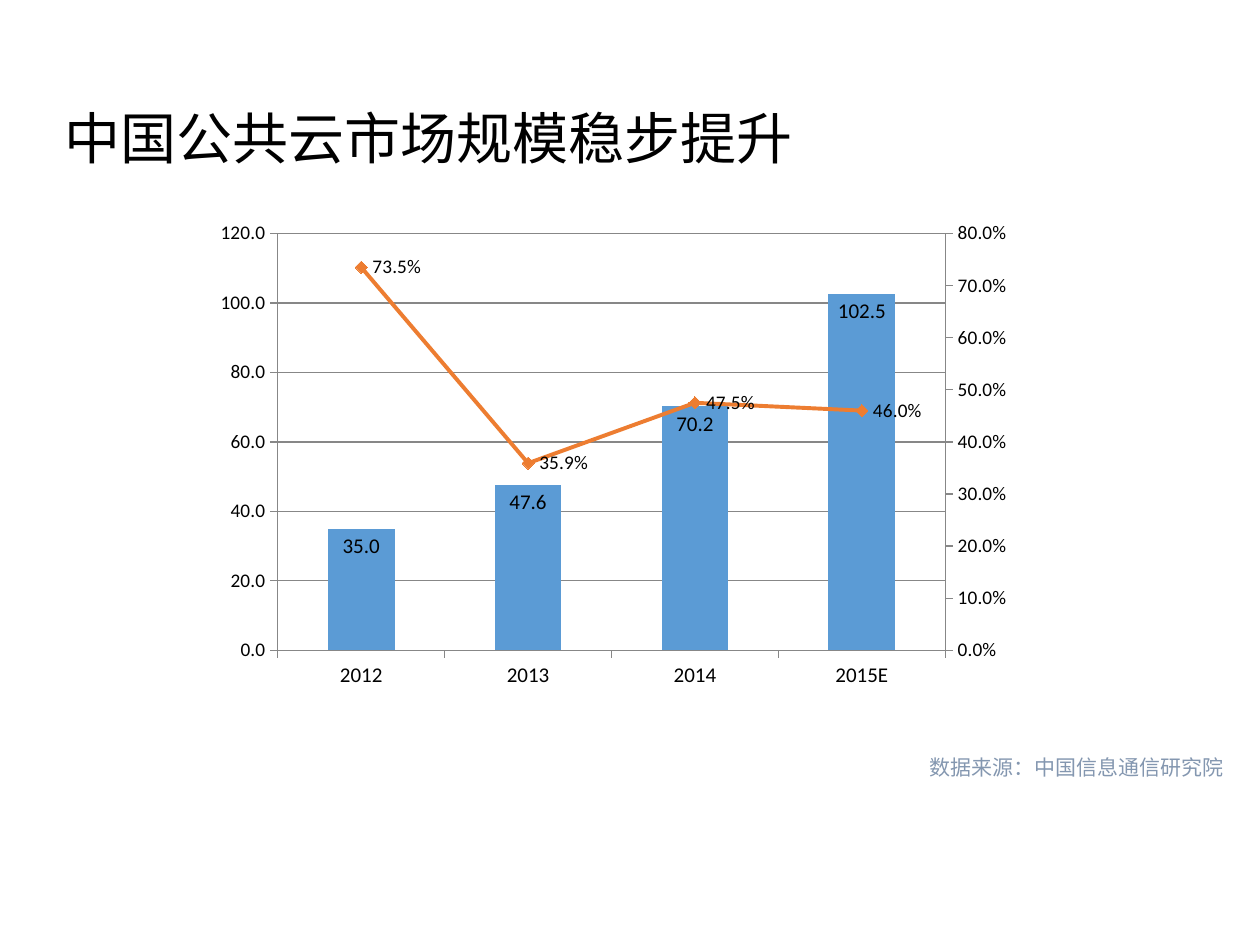
from dataclasses import dataclass

from lxml.etree import SubElement
from pptx import Presentation
from pptx.chart.data import CategoryChartData
from pptx.dml.color import RGBColor
from pptx.enum.chart import XL_CHART_TYPE as ChartType
from pptx.enum.chart import XL_LABEL_POSITION as LabelPosition
from pptx.enum.chart import XL_MARKER_STYLE as MarkerStyle
from pptx.enum.chart import XL_TICK_MARK as TickMark
from pptx.enum.shapes import MSO_SHAPE as Shape
from pptx.enum.text import MSO_ANCHOR as Anchor
from pptx.enum.text import PP_ALIGN as Align
from pptx.oxml import parse_xml
from pptx.oxml.ns import nsdecls, qn
from pptx.util import Inches, Pt

TITLE = "中国公共云市场规模稳步提升"
SOURCE = "数据来源：中国信息通信研究院"
YEARS = ["2012", "2013", "2014", "2015E"]
MARKET_SIZE = ("Series 1", [35, 47.6, 70.2, 102.5], "0.0")
GROWTH = ("Series 2", [0.735, 0.359, 0.475, 0.46], "0.0%")

SLIDE = (10, 7.5)
TITLE_AREA = (0.041, 0.053, 0.862, 0.193)
CHART_AREA = (0.162, 0.224, 0.65, 0.513)
SOURCE_AREA = (0.728, 0.792, 0.261, 0.04)
PLOT_AREA = {"x": 0.09, "y": 0.045, "w": 0.815, "h": 0.86}


@dataclass(frozen=True)
class Theme:
    """Colours, fonts and type sizes of the slide."""
    ink: str = "000000"
    paper: str = "FFFFFF"
    bar: str = "5B9BD5"
    line: str = "ED7D31"
    rule: str = "878787"
    note: str = "8497B0"
    font: str = "Calibri"
    note_font: str = "Times New Roman"
    title_size: int = 32
    label_size: int = 12
    scale_size: int = 11


THEME = Theme()


def color(code):
    """Return the colour of a hex code."""
    return RGBColor.from_string(code)


def area(shares):
    """Turn shares of the slide into left, top, width and height."""
    return [Inches(share * side) for share, side in zip(shares, SLIDE * 2)]


def style_font(font, name, size, code):
    """Set typeface, size and colour."""
    font.name, font.size = name, Pt(size)
    font.color.rgb = color(code)


def style_axis(axis, size):
    """Give an axis outer ticks, a thin line and its label size."""
    axis.major_tick_mark, axis.minor_tick_mark = TickMark.OUTSIDE, TickMark.NONE
    axis.tick_labels.font.size = Pt(size)
    axis.format.line.color.rgb = color(THEME.rule)
    axis.format.line.width = Pt(0.75)


def label_series(series, number_format, size, position):
    """Show the values of a series."""
    labels = series.data_labels
    labels.show_value = True
    labels.number_format, labels.number_format_is_linked = number_format, False
    labels.position = position
    style_font(labels.font, THEME.font, size, THEME.ink)


def move_to_line(chart):
    """Move the last bar series to a line on a second axis at the right."""
    bars = chart.plots[0]._element
    series = bars.findall(qn("c:ser"))[-1]
    for bar_only in series.findall(qn("c:invertIfNegative")):
        series.remove(bar_only)
    line = parse_xml(
        f'<c:lineChart {nsdecls("c")}><c:grouping val="standard"/><c:varyColors val="0"/>'
        '<c:marker val="1"/><c:axId val="301"/><c:axId val="302"/></c:lineChart>')
    line.insert(2, series)
    bars.addnext(line)
    outline = (f'<c:spPr><a:ln w="9525"><a:solidFill><a:srgbClr val="{THEME.rule}"/>'
               '</a:solidFill></a:ln></c:spPr>')
    axes = [
        ("catAx", 301, 302, 1, "b", "", "", "autoZero"),
        ("valAx", 302, 301, 0, "r", f'<c:numFmt formatCode="{GROWTH[2]}" sourceLinked="0"/>',
         outline, "max"),
    ]
    last = chart.value_axis._element
    for tag, own, other, hidden, side, number, shape, crossing in axes:
        axis = parse_xml(
            f'<c:{tag} {nsdecls("c", "a")}><c:axId val="{own}"/>'
            '<c:scaling><c:orientation val="minMax"/></c:scaling>'
            f'<c:delete val="{hidden}"/><c:axPos val="{side}"/>{number}'
            '<c:majorTickMark val="out"/><c:minorTickMark val="none"/>'
            f'<c:tickLblPos val="nextTo"/>{shape}'
            f'<c:txPr><a:bodyPr/><a:p><a:pPr><a:defRPr sz="{THEME.scale_size * 100}"/>'
            '</a:pPr></a:p></c:txPr>'
            f'<c:crossAx val="{other}"/><c:crosses val="{crossing}"/></c:{tag}>')
        last.addnext(axis)
        last = axis


def place_plot(chart):
    """Fix the inner plot area within the chart."""
    plot_area = chart.plots[0]._element.getparent()
    for layout in plot_area.findall(qn("c:layout")):
        plot_area.remove(layout)
    layout = parse_xml(f'<c:layout {nsdecls("c")}><c:manualLayout/></c:layout>')
    settings = {"layoutTarget": "inner", "xMode": "edge", "yMode": "edge", **PLOT_AREA}
    for tag, value in settings.items():
        SubElement(layout[0], qn(f"c:{tag}")).set("val", str(value))
    plot_area.insert(0, layout)


def add_market_chart(page):
    """Add market size as bars and growth as a line."""
    data = CategoryChartData()
    data.categories = YEARS
    for name, values, number_format in (MARKET_SIZE, GROWTH):
        data.add_series(name, values, number_format)
    chart = page.shapes.add_chart(ChartType.COLUMN_CLUSTERED, *area(CHART_AREA), data).chart
    chart.has_title = chart.has_legend = False
    style_font(chart.font, THEME.font, 10, THEME.ink)
    style_axis(chart.category_axis, THEME.label_size)
    scale = chart.value_axis
    style_axis(scale, THEME.scale_size)
    scale.tick_labels.number_format = MARKET_SIZE[2]
    scale.tick_labels.number_format_is_linked = False
    scale.major_gridlines.format.line.color.rgb = color(THEME.rule)
    scale.major_gridlines.format.line.width = Pt(0.75)
    move_to_line(chart)
    place_plot(chart)

    bar_plot, line_plot = chart.plots
    bar_plot.gap_width, bar_plot.vary_by_categories = 150, False
    bars, growth = bar_plot.series[0], line_plot.series[0]
    bars.format.fill.solid()
    bars.format.fill.fore_color.rgb = color(THEME.bar)
    label_series(bars, MARKET_SIZE[2], THEME.label_size, LabelPosition.INSIDE_END)
    growth.smooth = False
    growth.format.line.color.rgb = color(THEME.line)
    growth.format.line.width = Pt(2.25)
    growth.marker.style, growth.marker.size = MarkerStyle.DIAMOND, 7
    growth.marker.format.fill.solid()
    growth.marker.format.fill.fore_color.rgb = color(THEME.line)
    growth.marker.format.line.color.rgb = color(THEME.line)
    label_series(growth, GROWTH[2], THEME.scale_size, LabelPosition.RIGHT)


def add_title(page):
    """Fill and place the title."""
    title = page.shapes.title
    title.left, title.top, title.width, title.height = area(TITLE_AREA)
    title.text_frame.text = TITLE
    title.text_frame.vertical_anchor = Anchor.MIDDLE
    para = title.text_frame.paragraphs[0]
    para.alignment, para.line_spacing = Align.LEFT, 0.9
    style_font(para.font, THEME.font, THEME.title_size, THEME.ink)


def add_source(page):
    """Add the data source note."""
    box = page.shapes.add_shape(Shape.RECTANGLE, *area(SOURCE_AREA))
    box.shadow.inherit = False
    box.fill.solid()
    box.fill.fore_color.rgb = color(THEME.paper)
    box.line.fill.background()
    frame = box.text_frame
    frame.text, frame.word_wrap, frame.vertical_anchor = SOURCE, True, Anchor.TOP
    para = frame.paragraphs[0]
    para.alignment = Align.LEFT
    style_font(para.font, THEME.note_font, THEME.label_size, THEME.note)


def main():
    """Build the slide and save it."""
    deck = Presentation()
    deck.slide_width, deck.slide_height = map(Inches, SLIDE)
    page = deck.slides.add_slide(deck.slide_layouts[5])
    add_title(page)
    add_market_chart(page)
    add_source(page)
    deck.save("out.pptx")


if __name__ == "__main__":
    main()
